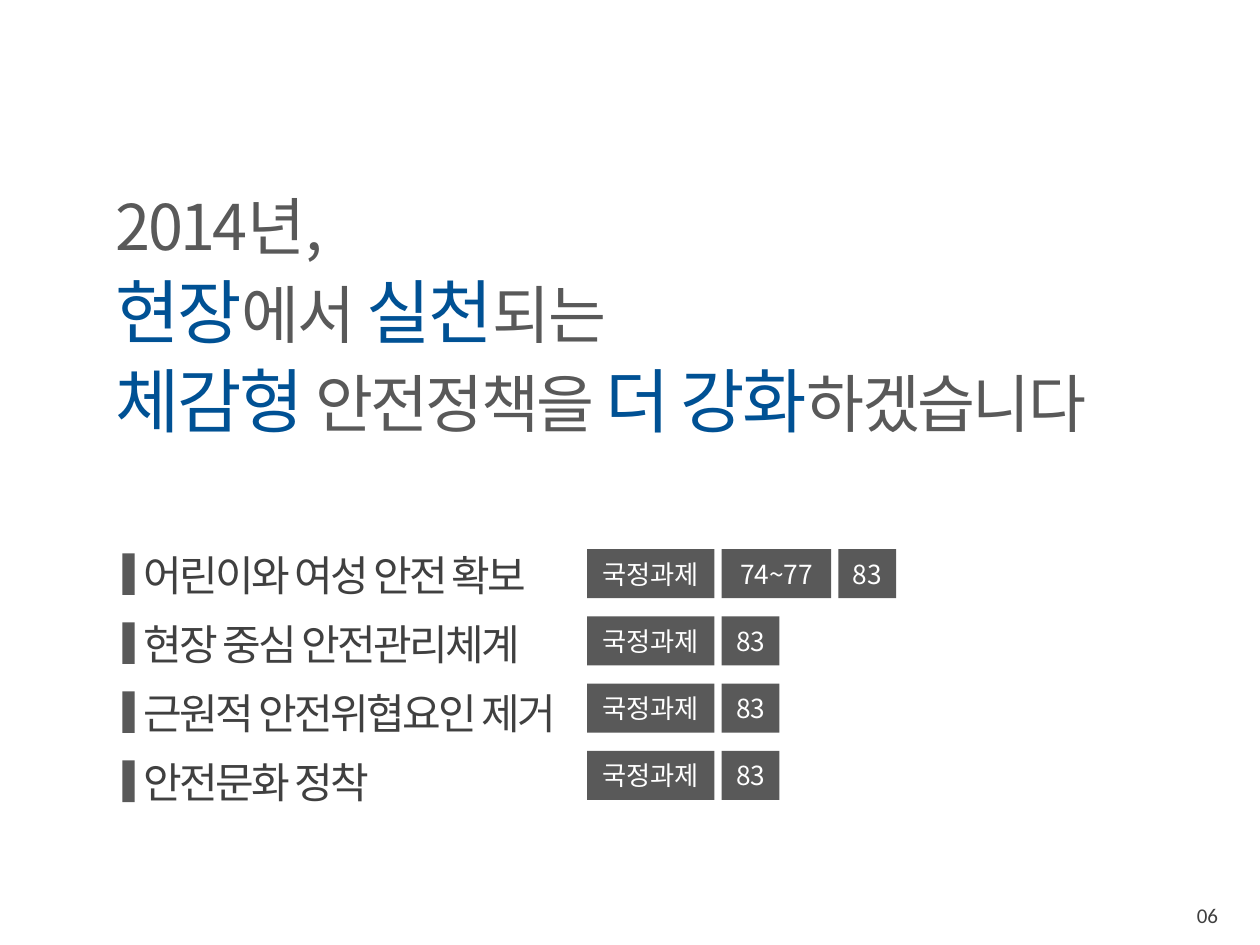
from lxml.etree import SubElement
from pptx import Presentation
from pptx.dml.color import RGBColor
from pptx.enum.shapes import MSO_SHAPE as Shape
from pptx.enum.text import MSO_ANCHOR as Anchor, MSO_AUTO_SIZE as Fit, PP_ALIGN as Align
from pptx.oxml.ns import qn
from pptx.util import Pt

FONT = "Noto Sans CJK KR"
GRAY, DARK, BLUE, WHITE = "595959", "404040", "005194", "FFFFFF"

TITLE = [
    [("2014년,", GRAY)],
    [("현장", BLUE), ("에서 ", GRAY), ("실천", BLUE), ("되는", GRAY)],
    [("체감형", BLUE), (" 안전정책을 ", GRAY), ("더 강화", BLUE), ("하겠습니다", GRAY)],
]
ITEMS = [
    ("어린이와 여성 안전 확보", 250.5, ["국정과제", "74~77", "83"]),
    ("현장 중심 안전관리체계", 237, ["국정과제", "83"]),
    ("근원적 안전위협요인 제거", 257.75, ["국정과제", "83"]),
    ("안전문화 정착", 146, ["국정과제", "83"]),
]
PAGE = "06"

WIDTHS = {"국정과제": 72.7, "74~77": 62.5, "83": 33}
SIZES = {BLUE: 40, GRAY: 36}
ITEM_TOP, ITEM_STEP = 310.2, 39.45
TAG_LEFT, TAG_TOP, TAG_STEP, TAG_GAP = 335.5, 313.8, 38.45, 4.2


def rgb(code):
    return RGBColor.from_string(code)


def style(run, size, color, name=FONT, gap=0):
    font = run.font
    font.size, font.name = Pt(size), name
    font.color.rgb = rgb(color)
    props = run._r.get_or_add_rPr()
    SubElement(props, qn("a:ea")).set("typeface", name)
    if gap:
        props.set("spc", str(int(gap * 100)))


def add_text(shapes, x, y, w, h, wrap=True):
    box = shapes.add_textbox(Pt(x), Pt(y), Pt(w), Pt(h))
    frame = box.text_frame
    frame.word_wrap = wrap
    frame.auto_size = Fit.SHAPE_TO_FIT_TEXT
    return frame


def add_bar(shapes, x, y, w, h):
    bar = shapes.add_shape(Shape.RECTANGLE, Pt(x), Pt(y), Pt(w), Pt(h))
    bar.shadow.inherit = False
    bar.fill.solid()
    bar.fill.fore_color.rgb = rgb(GRAY)
    bar.line.fill.background()
    return bar


def no_inset(frame):
    frame.margin_left = frame.margin_right = 0
    frame.margin_top = frame.margin_bottom = 0
    frame.vertical_anchor = Anchor.MIDDLE


def add_title(shapes):
    frame = add_text(shapes, 66.25, 106.5, 586.8, 146.9)
    no_inset(frame)
    for i, parts in enumerate(TITLE):
        para = frame.add_paragraph() if i else frame.paragraphs[0]
        para.space_before = Pt(3)
        for text, color in parts:
            run = para.add_run()
            run.text = text
            style(run, SIZES[color], color, gap=-1.5)


def add_item(shapes, row, text, width):
    top = ITEM_TOP + row * ITEM_STEP
    frame = add_text(shapes, 74.9, top, width, 36, wrap=False)
    frame.text = text
    style(frame.paragraphs[0].runs[0], 24, DARK, gap=-1.5)
    add_bar(shapes, 70, top + 6, 7, 23.8)


def add_tags(shapes, row, tags):
    group = shapes.add_group_shape()
    left = TAG_LEFT
    for tag in tags:
        bar = add_bar(group.shapes, left, TAG_TOP + row * TAG_STEP, WIDTHS[tag], 28)
        frame = bar.text_frame
        no_inset(frame)
        frame.text = tag
        para = frame.paragraphs[0]
        para.alignment = Align.CENTER
        style(para.runs[0], 15, WHITE)
        left += WIDTHS[tag] + TAG_GAP


def main():
    deck = Presentation()
    deck.slide_width, deck.slide_height = Pt(720), Pt(540)
    shapes = deck.slides.add_slide(deck.slide_layouts[6]).shapes

    page = add_text(shapes, 676.8, 511.9, 28.8, 21.8)
    page.text = PAGE
    style(page.paragraphs[0].runs[0], 12, DARK, "Calibri")

    add_title(shapes)
    for row, (text, width, tags) in enumerate(ITEMS):
        add_item(shapes, row, text, width)
        add_tags(shapes, row, tags)

    deck.save("out.pptx")


if __name__ == "__main__":
    main()
